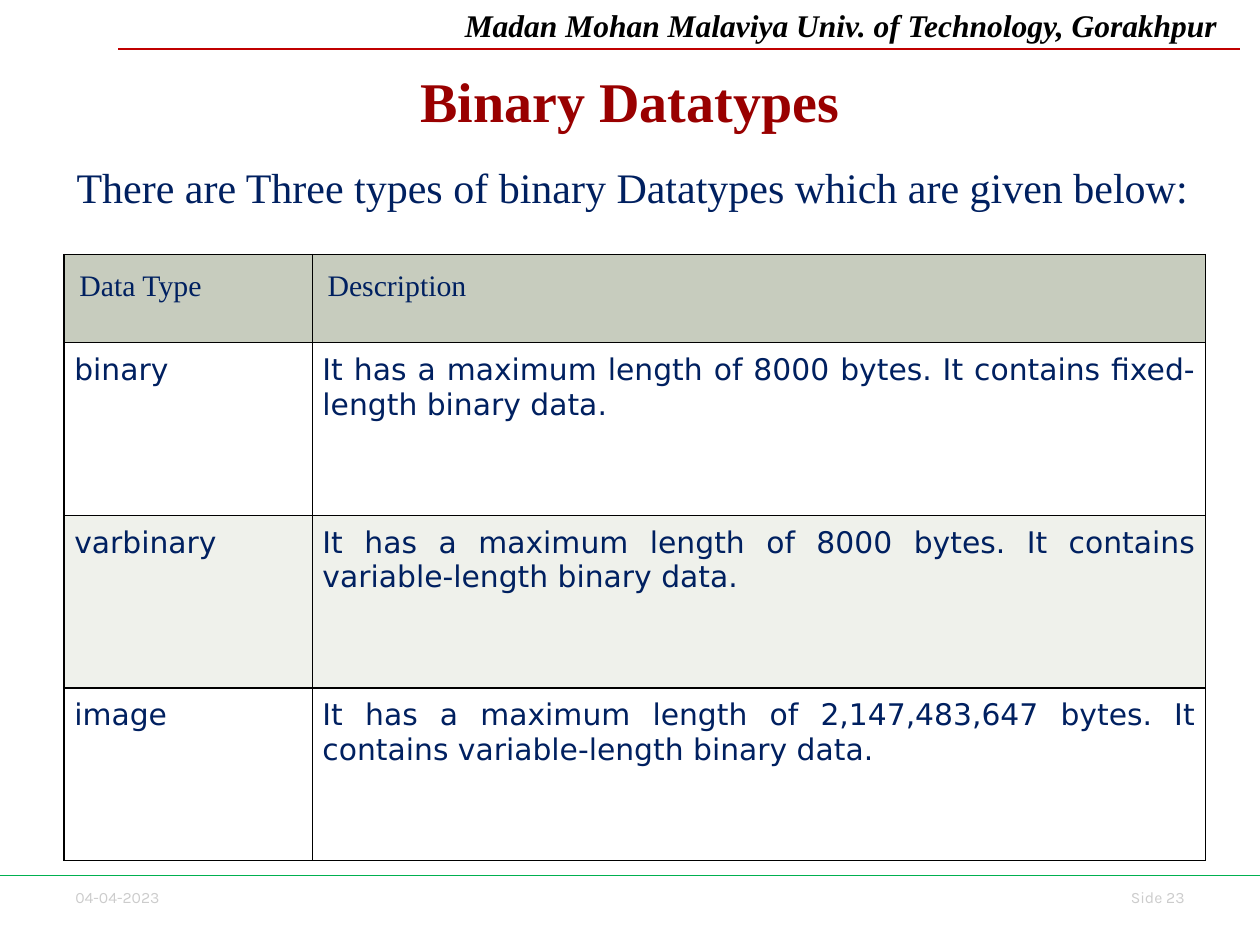
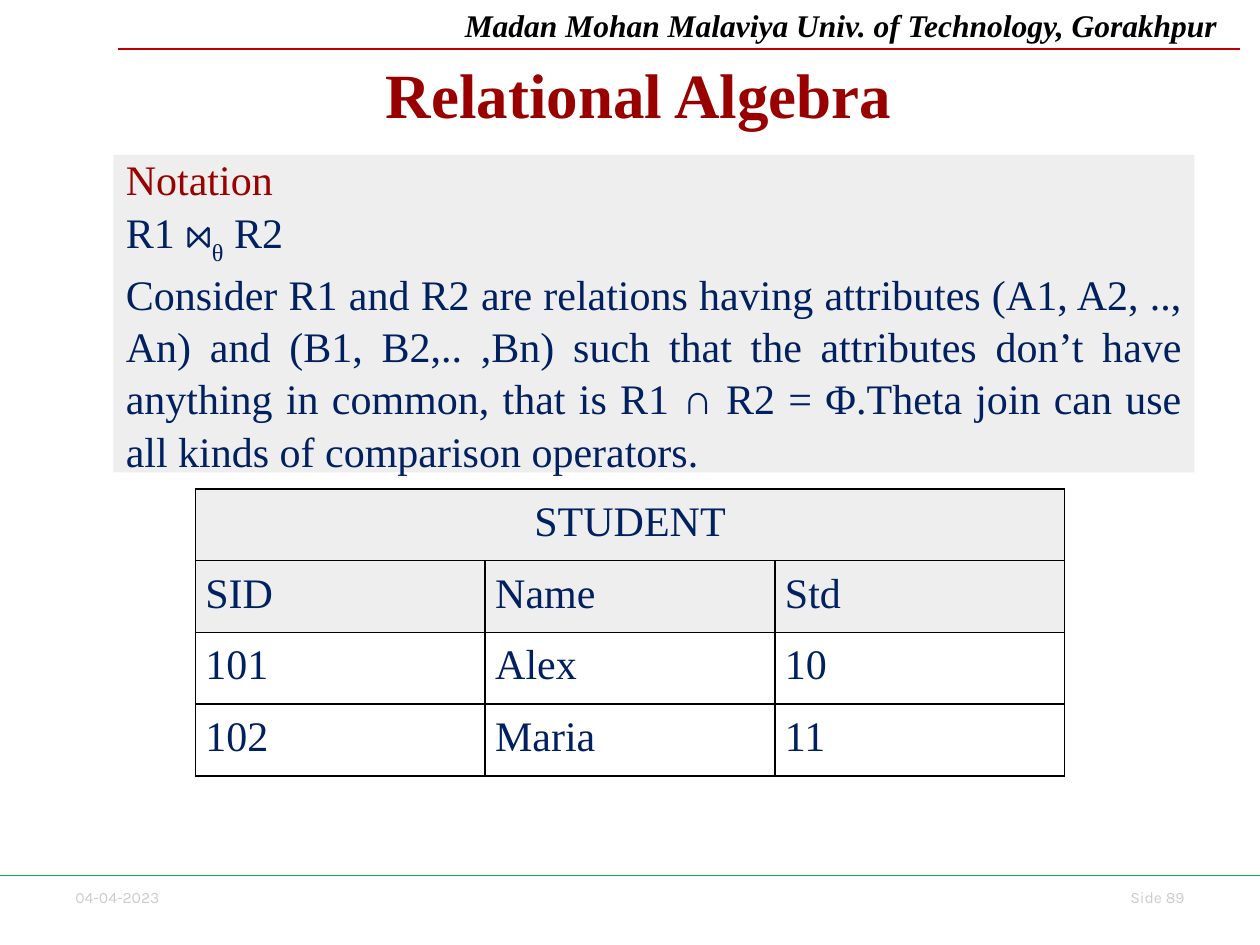
import pptx
import pptx.dml.color
import pptx.enum.shapes
import pptx.enum.text
import pptx.oxml
import pptx.oxml.ns
import pptx.util

WIDTH, HEIGHT = 10, 7.5
SERIF, SANS, FOOTER_FONT = "Times New Roman", "DejaVu Sans", "Karla"
COLOURS = {
    "title": "990000", "text": "002060", "header": "000000", "footer": "CCCCCC",
    "top rule": "C00000", "bottom rule": "00B050", "border": "000000",
    "heading row": "C7CCBE", "band": "EFF1EB", "panel": "EEEEEE", "plain": "FFFFFF",
}
Align = pptx.enum.text.PP_ALIGN
Anchor = pptx.enum.text.MSO_ANCHOR

UNIVERSITY = "Madan Mohan Malaviya Univ. of Technology, Gorakhpur"
DATE = "04-04-2023"

BINARY_INTRO = "There are Three types of binary Datatypes which are given below:"
BINARY_TYPES = [
    ("Data Type", "Description"),
    ("binary", "It has a maximum length of 8000 bytes. It contains fixed-length binary data."),
    ("varbinary", "It has a maximum length of 8000 bytes. It contains variable-length binary data."),
    ("image", "It has a maximum length of 2,147,483,647 bytes. It contains variable-length binary data."),
]

# Each paragraph: colour name and its spans as (text, baseline shift)
NOTATION = [
    ("title", [("Notation", 0)]),
    ("text", [("R1 ⋈", 0), ("θ", -30000), (" R2", 0)]),
    ("text", [("Consider R1 and R2 are relations having attributes (A1, A2, .., An) and "
               "(B1, B2,.. ,Bn) such that the attributes don’t have anything in common, "
               "that is R1 ∩ R2 = Φ.Theta join can use all kinds of comparison operators.", 0)]),
]
STUDENTS = [
    ("STUDENT", "", ""),
    ("SID", "Name", "Std"),
    ("101", "Alex", "10"),
    ("102", "Maria", "11"),
]


def rgb(name):
    return pptx.dml.color.RGBColor.from_string(COLOURS[name])


def inches(*lengths):
    return [pptx.util.Inches(length) for length in lengths]


def style_font(font, size, colour, name=SERIF, bold=False, italic=False):
    font.size, font.name = pptx.util.Pt(size), name
    font.bold, font.italic = bold, italic
    font.color.rgb = rgb(colour)


def add_text(slide, place, text, size, colour, align=Align.LEFT, anchor=Anchor.TOP, **font):
    frame = slide.shapes.add_textbox(*inches(*place)).text_frame
    frame.word_wrap, frame.vertical_anchor = True, anchor
    frame.text = text
    para = frame.paragraphs[0]
    para.alignment = align
    style_font(para.runs[0].font, size, colour, **font)


def add_rule(slide, left, right, top, colour):
    rule = slide.shapes.add_connector(
        pptx.enum.shapes.MSO_CONNECTOR.STRAIGHT, *inches(left, top, right, top))
    rule.line.color.rgb = rgb(colour)
    rule.line.width = pptx.util.Pt(0.75)
    rule._element.spPr.append(pptx.oxml.parse_xml(
        f"<a:effectLst {pptx.oxml.ns.nsdecls('a')}/>"))


def add_page(deck, title, title_place, title_size, number):
    """Add a blank slide with the shared header, rules, footer and title."""
    slide = deck.slides.add_slide(deck.slide_layouts[6])
    add_text(slide, (0.5, 7, 1.03, 0.25), DATE, 9, "footer", name=FOOTER_FONT)
    add_text(slide, (8.67, 7, 0.83, 0.25), f"Side {number}", 9, "footer",
             Align.RIGHT, name=FOOTER_FONT)
    add_text(slide, (3.59, 0, 6.41, 0.4), UNIVERSITY, 18, "header", bold=True, italic=True)
    add_rule(slide, 0.94, 9.84, 0.39, "top rule")
    add_rule(slide, 0, WIDTH, 6.95, "bottom rule")
    add_text(slide, title_place, title, title_size, "title", Align.CENTER,
             Anchor.MIDDLE, bold=True)
    return slide


def add_borders(cell):
    for side in ("lnL", "lnR", "lnT", "lnB"):
        cell._tc.get_or_add_tcPr().append(pptx.oxml.parse_xml(
            f"<a:{side} {pptx.oxml.ns.nsdecls('a')} w='12700'><a:solidFill>"
            f"<a:srgbClr val='{COLOURS['border']}'/></a:solidFill></a:{side}>"))


def add_grid(slide, left, top, columns, row_heights, rows, fills, style_cell):
    """Add a bordered table; style_cell returns (inset, alignment, size, font) for a cell."""
    shape = slide.shapes.add_table(
        len(rows), len(columns), *inches(left, top, sum(columns), sum(row_heights)))
    table = shape.table
    table.first_row = table.horz_banding = False
    for column, width in zip(table.columns, columns):
        column.width = pptx.util.Inches(width)
    for r, (texts, height, fill) in enumerate(zip(rows, row_heights, fills)):
        table.rows[r].height = pptx.util.Inches(height)
        for c, text in enumerate(texts):
            cell = table.cell(r, c)
            inset, align, size, font = style_cell(r, c)
            cell.margin_left = cell.margin_right = pptx.util.Inches(inset)
            cell.margin_top = cell.margin_bottom = pptx.util.Inches(inset)
            add_borders(cell)
            cell.fill.solid()
            cell.fill.fore_color.rgb = rgb(fill)
            cell.text = text
            para = cell.text_frame.paragraphs[0]
            para.alignment = align
            for span in para.runs:
                style_font(span.font, size, "text", font)
    return table


def binary_cell(row, column):
    align = Align.JUSTIFY if column else Align.LEFT
    return (0.08, align, 17, SANS) if row else (0.12, align, 17, SERIF)


def student_cell(row, column):
    return 0.08, Align.LEFT if row else Align.CENTER, 24, SERIF


def add_notation(slide):
    panel = slide.shapes.add_shape(
        pptx.enum.shapes.MSO_SHAPE.RECTANGLE, *inches(0.9, 1.23, 8.58, 2.52))
    panel.shadow.inherit = False
    panel.fill.solid()
    panel.fill.fore_color.rgb = rgb("panel")
    panel.line.fill.background()
    frame = panel.text_frame
    frame.word_wrap, frame.vertical_anchor = True, Anchor.MIDDLE
    for index, (colour, spans) in enumerate(NOTATION):
        para = frame.add_paragraph() if index else frame.paragraphs[0]
        para.alignment, para.line_spacing = Align.JUSTIFY, 1.04
        for text, baseline in spans:
            span = para.add_run()
            span.text = text
            style_font(span.font, 24, colour)
            if baseline:
                span.font._element.set("baseline", str(baseline))


def main():
    deck = pptx.Presentation()
    deck.slide_width, deck.slide_height = inches(WIDTH, HEIGHT)

    binary = add_page(deck, "Binary Datatypes", (0.71, 0.42, 8.58, 0.75), 32, 23)
    add_grid(binary, 0.51, 2.02, [1.97, 7.09], [0.7] + [1.37] * 3, BINARY_TYPES,
             ["heading row", "plain", "band", "plain"], binary_cell)
    add_text(binary, (0.51, 1.23, 9.06, 0.5), BINARY_INTRO, 24, "text")

    algebra = add_page(deck, "Relational Algebra", (0.78, 0.39, 8.58, 0.7), 36, 89)
    add_notation(algebra)
    students = add_grid(algebra, 1.55, 3.88, [2.3] * 3, [0.57] * 4, STUDENTS,
                        ["panel", "panel", "plain", "plain"], student_cell)
    students.cell(0, 0).merge(students.cell(0, 2))

    deck.save("out.pptx")


if __name__ == "__main__":
    main()
